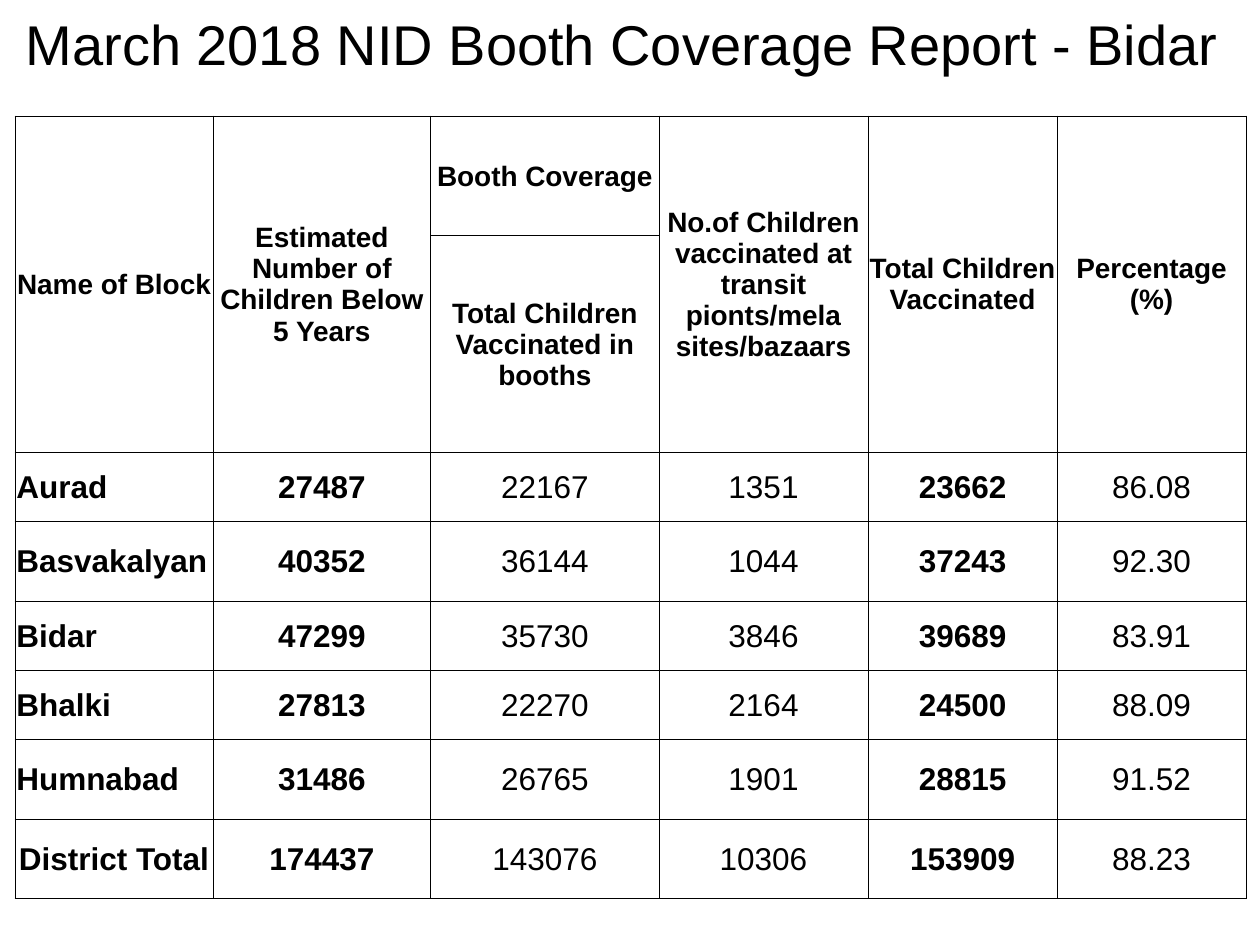
from pptx import Presentation
from pptx import util as u
from pptx.dml.color import RGBColor
from pptx.enum import text
from pptx.oxml import parse_xml
from pptx.oxml.ns import nsdecls

BLACK = "000000"
COLUMN_WIDTHS = [1.57, 1.73, 1.81, 1.66, 1.5, 1.5]
ROW_HEIGHTS = [0.95, 1.72, 0.55, 0.63, 0.55, 0.55, 0.63, 0.63]
HEADINGS = [
    "Name of Block",
    "Estimated Number of Children Below 5 Years",
    "Booth Coverage",
    "No.of Children vaccinated at transit pionts/mela sites/bazaars",
    "Total Children Vaccinated",
    "Percentage (%)",
]
BOOTH_COLUMN = 2
BOOTH_SUBHEADING = "Total Children Vaccinated in booths"
BOLD_COLUMNS = {0, 1, 4}  # block, estimate and total vaccinated
BLOCKS = [
    ("Aurad", "27487", "22167", "1351", "23662", "86.08"),
    ("Basvakalyan", "40352", "36144", "1044", "37243", "92.30"),
    ("Bidar", "47299", "35730", "3846", "39689", "83.91"),
    ("Bhalki", "27813", "22270", "2164", "24500", "88.09"),
    ("Humnabad", "31486", "26765", "1901", "28815", "91.52"),
    ("District Total", "174437", "143076", "10306", "153909", "88.23"),
]


def color(hex_value):
    return RGBColor.from_string(hex_value)


def write(frame, words, size, bold=False, align=text.PP_ALIGN.CENTER):
    frame.word_wrap = True
    paragraph = frame.paragraphs[0]
    paragraph.alignment = align
    run = paragraph.add_run()
    run.text = words
    run.font.name = "Arial"
    run.font.size = u.Pt(size)
    run.font.bold = bold
    run.font.color.rgb = color(BLACK)


def format_cell(cell):
    cell.margin_left = cell.margin_right = cell.margin_top = u.Inches(0.01)
    cell.margin_bottom = 0
    cell.vertical_anchor = text.MSO_ANCHOR.MIDDLE
    properties = cell._tc.get_or_add_tcPr()
    for side in "LRTB":
        properties.append(parse_xml(
            f'<a:ln{side} {nsdecls("a")} w="{u.Pt(0.5)}"><a:solidFill>'
            f'<a:srgbClr val="{BLACK}"/></a:solidFill></a:ln{side}>'))
    cell.fill.background()


def add_title(slide, words):
    title = slide.shapes.title
    title.left, title.top = 0, 0
    title.width, title.height = u.Inches(9.88), u.Inches(0.68)
    title.text_frame.vertical_anchor = text.MSO_ANCHOR.MIDDLE
    write(title.text_frame, words, 32)


def add_coverage_table(slide):
    table = slide.shapes.add_table(
        len(ROW_HEIGHTS), len(COLUMN_WIDTHS), u.Inches(0.12), u.Inches(0.92),
        u.Inches(sum(COLUMN_WIDTHS)), u.Inches(sum(ROW_HEIGHTS))).table
    table.first_row = table.horz_banding = False
    for column, width in zip(table.columns, COLUMN_WIDTHS):
        column.width = u.Inches(width)
    for row, height in zip(table.rows, ROW_HEIGHTS):
        row.height = u.Inches(height)
    for cell in table.iter_cells():
        format_cell(cell)

    # Two-row heading, split only under booth coverage
    for col, heading in enumerate(HEADINGS):
        if col != BOOTH_COLUMN:
            table.cell(0, col).merge(table.cell(1, col))
        write(table.cell(0, col).text_frame, heading, 16, bold=True)
    write(table.cell(1, BOOTH_COLUMN).text_frame, BOOTH_SUBHEADING, 16, bold=True)

    # Blocks, with the district total last
    for row, block in enumerate(BLOCKS, start=2):
        for col, value in enumerate(block):
            is_block_name = col == 0 and block is not BLOCKS[-1]
            align = text.PP_ALIGN.LEFT if is_block_name else text.PP_ALIGN.CENTER
            write(table.cell(row, col).text_frame, value, 18,
                  bold=col in BOLD_COLUMNS, align=align)


def main():
    deck = Presentation()
    deck.slide_width, deck.slide_height = u.Inches(10), u.Inches(7.5)
    slide = deck.slides.add_slide(deck.slide_layouts[5])
    add_title(slide, "March 2018 NID Booth Coverage Report - Bidar")
    add_coverage_table(slide)
    deck.save("out.pptx")


if __name__ == "__main__":
    main()
